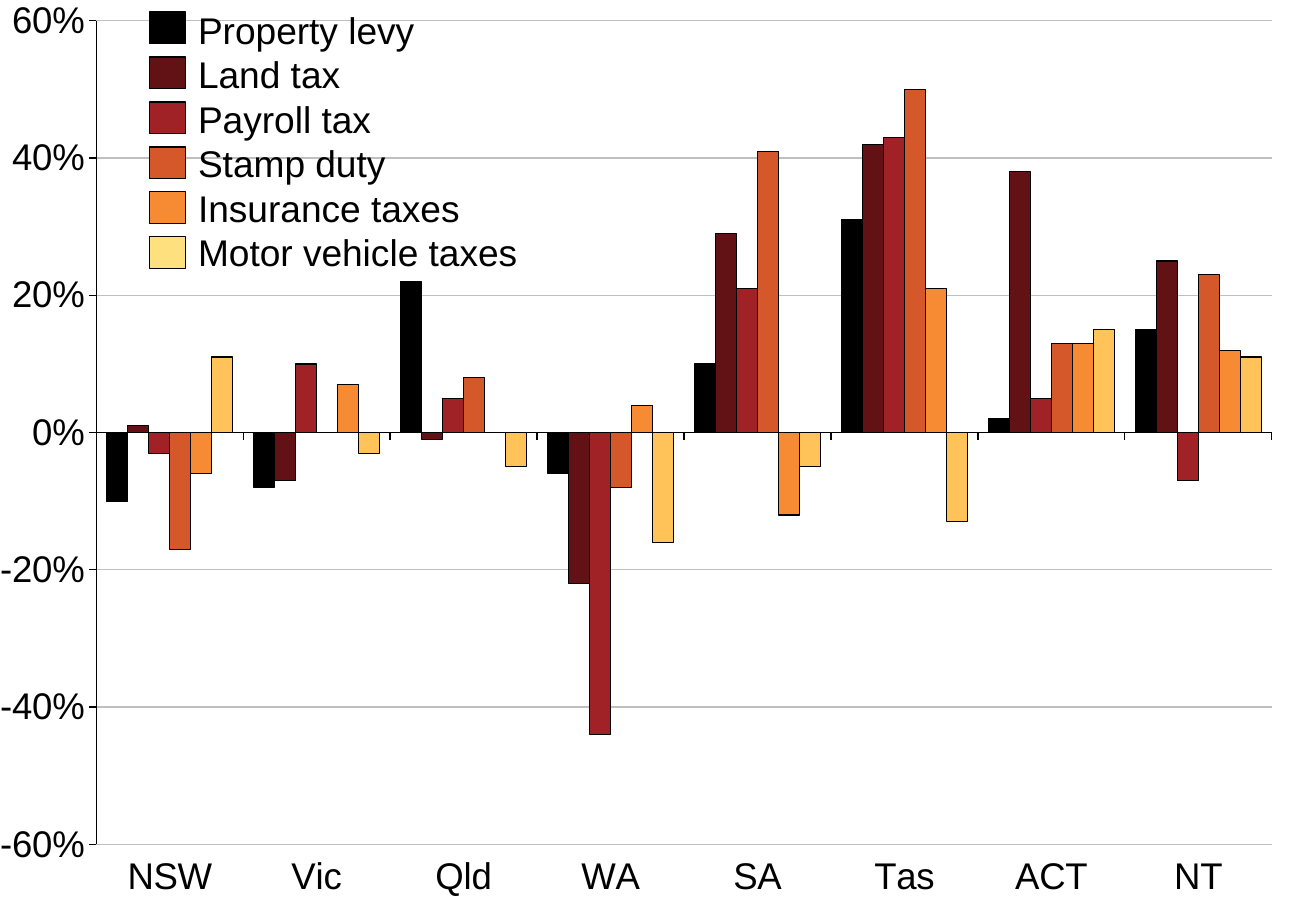
from pptx import Presentation
from pptx.chart.data import CategoryChartData as ChartData
from pptx.dml.color import RGBColor
from pptx.enum.chart import XL_CHART_TYPE as ChartType
from pptx.enum.chart import XL_TICK_LABEL_POSITION as LabelPosition
from pptx.enum.chart import XL_TICK_MARK as TickMark
from pptx.enum.shapes import MSO_SHAPE as Shape
from pptx.enum.text import MSO_AUTO_SIZE as AutoSize
from pptx.oxml import parse_xml
from pptx.oxml.ns import nsdecls, qn
from pptx.util import Inches, Pt

BLACK = RGBColor(0x00, 0x00, 0x00)
MAROON = RGBColor(0x62, 0x12, 0x14)
RED = RGBColor(0xA0, 0x22, 0x26)
RUST = RGBColor(0xD4, 0x58, 0x2A)
ORANGE = RGBColor(0xF6, 0x8B, 0x33)
AMBER = RGBColor(0xFF, 0xC3, 0x5A)
YELLOW = RGBColor(0xFF, 0xE0, 0x7F)
GRID_GREY = RGBColor(0xBF, 0xBF, 0xBF)

STATES = ["NSW", "Vic", "Qld", "WA", "SA", "Tas", "ACT", "NT"]
TAXES = [
    ("Property levy", BLACK, [-0.1, -0.08, 0.22, -0.06, 0.1, 0.31, 0.02, 0.15]),
    ("Land tax", MAROON, [0.01, -0.07, -0.01, -0.22, 0.29, 0.42, 0.38, 0.25]),
    ("Payroll tax", RED, [-0.03, 0.1, 0.05, -0.44, 0.21, 0.43, 0.05, -0.07]),
    ("Stamp duty", RUST, [-0.17, 0, 0.08, -0.08, 0.41, 0.5, 0.13, 0.23]),
    ("Insurance taxes", ORANGE, [-0.06, 0.07, 0, 0.04, -0.12, 0.21, 0.13, 0.12]),
    ("Motor vehicle taxes", AMBER, [0.11, -0.03, -0.05, -0.16, -0.05, -0.13, 0.15, 0.11]),
]
LEGEND_COLORS = [BLACK, MAROON, RED, RUST, ORANGE, YELLOW]
PLOT_AREA = {"x": 0.059, "y": 0.023, "w": 0.907, "h": 0.904}


def apply(target, formats):
    """Set each attribute of the target from a dict of values."""
    for name, value in formats.items():
        setattr(target, name, value)


class TaxSlide:
    """Holds the style and the current page, and draws its elements."""

    font = {"name": "Arial", "size": Pt(22), "bold": False}
    line_width = Pt(0.75)

    def __init__(self, page):
        self.page = page

    def style_font(self, font):
        apply(font, self.font)
        font.color.rgb = BLACK

    def style_line(self, line, color=BLACK):
        line.color.rgb = color
        line.width = self.line_width

    def style_fill(self, item, color):
        item.fill.solid()
        item.fill.fore_color.rgb = color
        self.style_line(item.line)

    def chart(self, left, top, width, height):
        data = ChartData(number_format="0%")
        data.categories = STATES
        for name, _, values in TAXES:
            data.add_series(name, values)
        frame = self.page.shapes.add_chart(
            ChartType.COLUMN_CLUSTERED, Inches(left), Inches(top),
            Inches(width), Inches(height), data)
        chart = frame.chart
        apply(chart, {"has_legend": False, "has_title": False})
        self.style_font(chart.font)
        plot = chart.plots[0]
        apply(plot, {"gap_width": 100, "overlap": 0, "vary_by_categories": False})
        for series, (_, color, _) in zip(plot.series, TAXES):
            series.invert_if_negative = False
            self.style_fill(series.format, color)
        self.axes(chart)
        self.place_plot(chart)

    def axes(self, chart):
        for axis in (chart.category_axis, chart.value_axis):
            apply(axis, {"major_tick_mark": TickMark.OUTSIDE,
                         "minor_tick_mark": TickMark.NONE})
            self.style_line(axis.format.line)
            self.style_font(axis.tick_labels.font)
        chart.category_axis.tick_label_position = LabelPosition.LOW
        values = chart.value_axis
        apply(values, {"minimum_scale": -0.6, "maximum_scale": 0.6,
                       "major_unit": 0.2, "has_major_gridlines": True})
        apply(values.tick_labels, {"number_format": "0%",
                                   "number_format_is_linked": False})
        self.style_line(values.major_gridlines.format.line, GRID_GREY)

    def place_plot(self, chart):
        area = chart.plots[0]._element.getparent()
        for layout in area.findall(qn("c:layout")):
            area.remove(layout)
        modes = "".join(f'<c:{key}Mode val="edge"/>' for key in "xy")
        sizes = "".join(f'<c:{key} val="{value}"/>' for key, value in PLOT_AREA.items())
        area.insert(0, parse_xml(
            f'<c:layout {nsdecls("c")}><c:manualLayout><c:layoutTarget val="inner"/>'
            f"{modes}{sizes}</c:manualLayout></c:layout>"))

    def swatch(self, left, top, color):
        box = self.page.shapes.add_shape(
            Shape.RECTANGLE, Inches(left), Inches(top), Inches(0.3), Inches(0.26))
        box.shadow.inherit = False
        self.style_fill(box, color)

    def labels(self, left, top, width, height, lines):
        box = self.page.shapes.add_textbox(
            Inches(left), Inches(top), Inches(width), Inches(height))
        frame = box.text_frame
        apply(frame, {"margin_left": 0, "margin_top": 0, "margin_right": 0,
                      "margin_bottom": 0, "word_wrap": True,
                      "auto_size": AutoSize.SHAPE_TO_FIT_TEXT})
        for index, line in enumerate(lines):
            para = frame.add_paragraph() if index else frame.paragraphs[0]
            para.line_spacing = Pt(26.4)
            span = para.add_run()
            span.text = line
            self.style_font(span.font)


def main():
    deck = Presentation()
    apply(deck, {"slide_width": Inches(10.83), "slide_height": Inches(7.5)})
    slide = TaxSlide(deck.slides.add_slide(deck.slide_layouts[6]))
    slide.chart(0, 0, 10.83, 7.5)
    for index, color in enumerate(LEGEND_COLORS):
        slide.swatch(1.23, 0.1 + 0.37 * index, color)
    slide.labels(1.63, 0.06, 2.75, 2.22, [name for name, _, _ in TAXES])
    deck.save("out.pptx")


if __name__ == "__main__":
    main()
